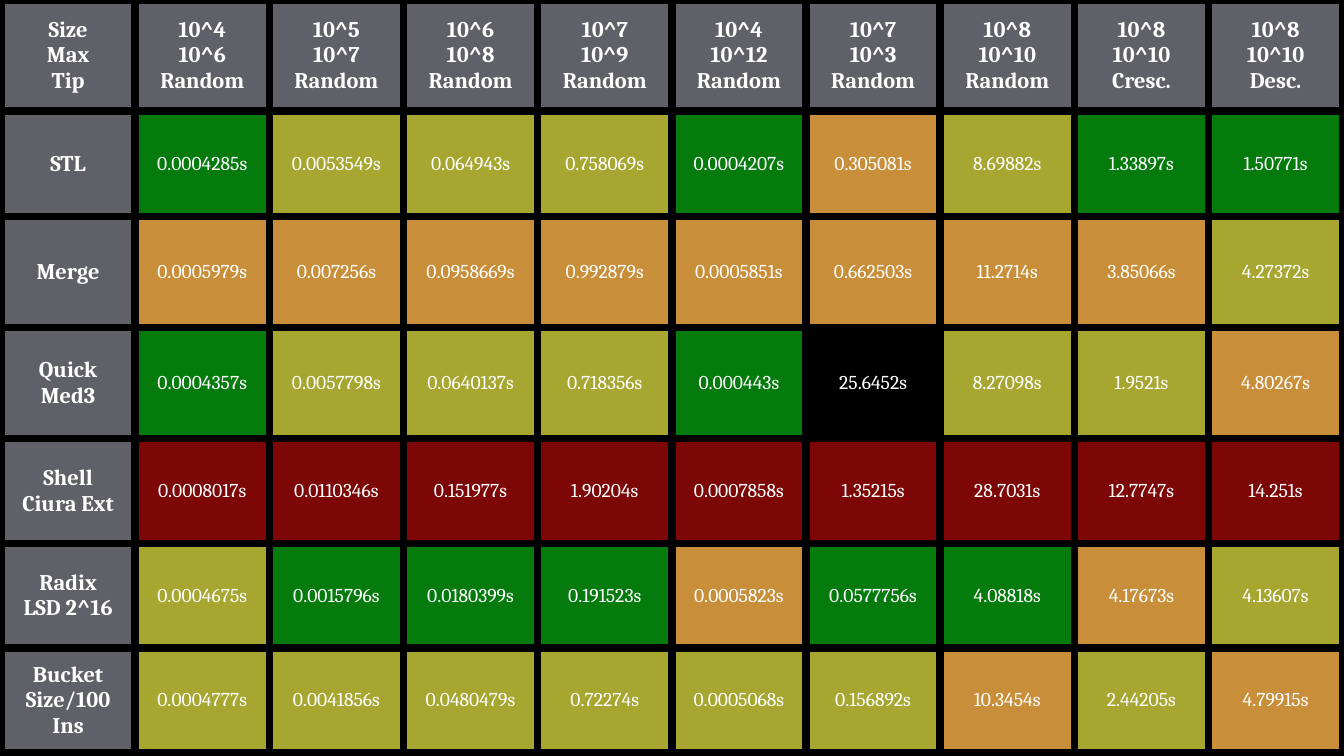
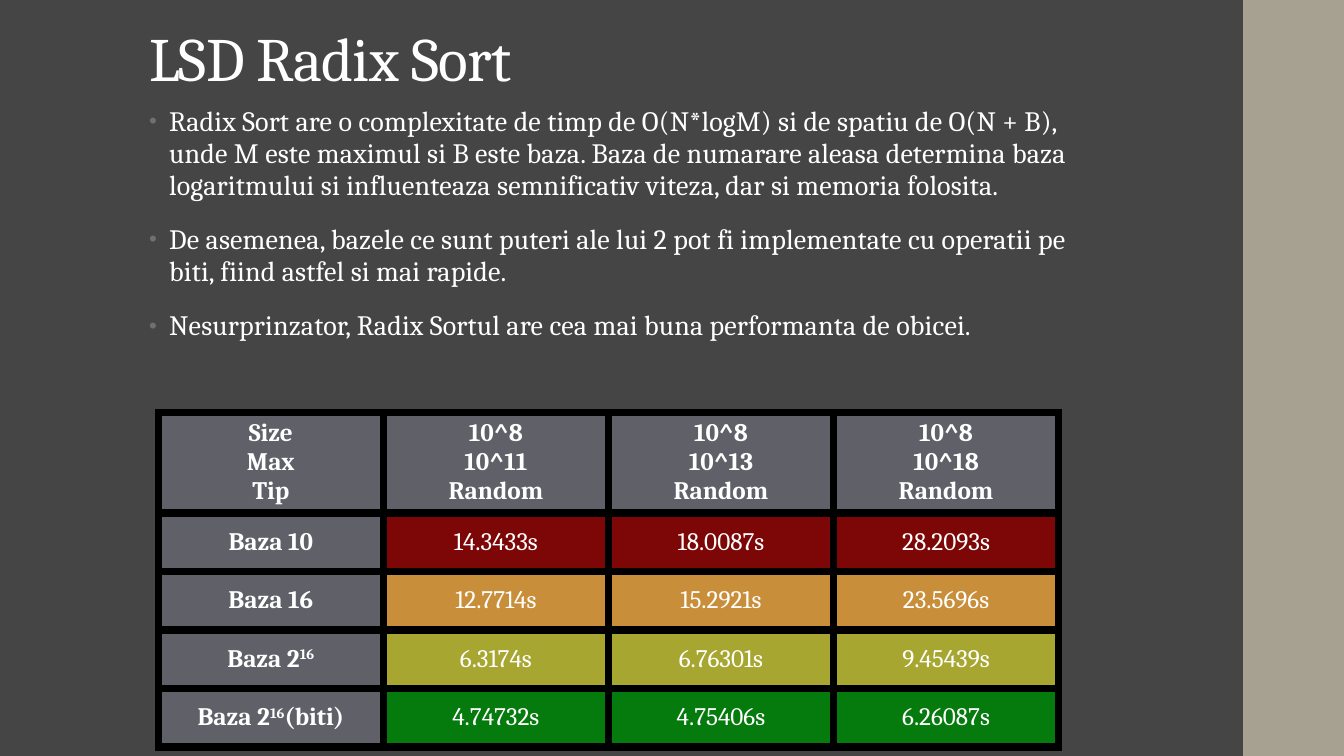
"""Build two slides comparing the running times of sorting algorithms."""
import pptx
import pptx.util
import pptx.dml.color
import pptx.enum.shapes
import pptx.enum.text
import pptx.oxml
import pptx.oxml.ns

Inches, Pt = pptx.util.Inches, pptx.util.Pt
RGBColor = pptx.dml.color.RGBColor
ALIGN, ANCHOR = pptx.enum.text.PP_ALIGN, pptx.enum.text.MSO_ANCHOR

FONT = "Cambria"
WHITE = RGBColor(0xFF, 0xFF, 0xFF)
BACKGROUND = RGBColor(0x45, 0x45, 0x45)
BAND = RGBColor(0xA7, 0xA1, 0x92)
HEADING = RGBColor(0x60, 0x60, 0x68)
BLACK = RGBColor(0, 0, 0)
BULLET = RGBColor(0x6F, 0x6F, 0x74)
RATINGS = {
    "G": RGBColor(0x05, 0x7A, 0x0D),
    "Y": RGBColor(0xA6, 0xA6, 0x30),
    "O": RGBColor(0xC9, 0x8E, 0x3A),
    "R": RGBColor(0x7D, 0x07, 0x07),
    "K": BLACK,
}

ALL_TESTS = [
    "Size\nMax\nTip", "10^4\n10^6\nRandom", "10^5\n10^7\nRandom",
    "10^6\n10^8\nRandom", "10^7\n10^9\nRandom", "10^4\n10^12\nRandom",
    "10^7\n10^3\nRandom", "10^8\n10^10\nRandom", "10^8\n10^10\nCresc.",
    "10^8\n10^10\nDesc.",
]
ALL_TIMES = [
    ("STL", "GYYYGOYGG",
     "0.0004285 0.0053549 0.064943 0.758069 0.0004207 0.305081 8.69882 1.33897 1.50771"),
    ("Merge", "OOOOOOOOY",
     "0.0005979 0.007256 0.0958669 0.992879 0.0005851 0.662503 11.2714 3.85066 4.27372"),
    ("Quick\nMed3", "GYYYGKYYO",
     "0.0004357 0.0057798 0.0640137 0.718356 0.000443 25.6452 8.27098 1.9521 4.80267"),
    ("Shell\nCiura Ext", "RRRRRRRRR",
     "0.0008017 0.0110346 0.151977 1.90204 0.0007858 1.35215 28.7031 12.7747 14.251"),
    ("Radix\nLSD 2^16", "YGGGOGGOY",
     "0.0004675 0.0015796 0.0180399 0.191523 0.0005823 0.0577756 4.08818 4.17673 4.13607"),
    ("Bucket\nSize/100\nIns", "YYYYYYOYO",
     "0.0004777 0.0041856 0.0480479 0.72274 0.0005068 0.156892 10.3454 2.44205 4.79915"),
]
ALL_HEIGHTS = [1.1, 1.05, 1.1, 1.1, 1.04, 1.04, 1.04]

RADIX_TITLE = "LSD Radix Sort"
RADIX_POINTS = "\n".join([
    "Radix Sort are o complexitate\u00a0de\u00a0timp de O(N*logM) si\u00a0de spatiu de "
    "O(N + B), unde M este maximul si B este baza. Baza de numarare aleasa determina baza "
    "logaritmului si influenteaza semnificativ viteza, dar si memoria folosita.",
    "De asemenea, bazele\u00a0ce sunt puteri ale lui 2 pot fi implementate cu operatii pe "
    "biti, fiind astfel si mai rapide.",
    "Nesurprinzator, Radix Sortul are cea mai buna performanta\u00a0de obicei.",
])
RADIX_TESTS = ["Size\nMax\nTip", "10^8\n10^11\nRandom", "10^8\n10^13\nRandom",
               "10^8\n10^18\nRandom"]
RADIX_TIMES = [
    ("Baza 10", "RRR", "14.3433 18.0087 28.2093"),
    ("Baza 16", "OOO", "12.7714 15.2921 23.5696"),
    ("Baza 2|16", "YYY", "6.3174 6.76301 9.45439"),
    ("Baza 2|16|(biti)", "GGG", "4.74732 4.75406 6.26087"),
]
RADIX_HEIGHTS = [0.97] + [0.58] * 4


def add_xml(parent, tag, index=None, inner="", **attributes):
    """Insert a drawing element into parent, at the end by default."""
    listed = " ".join(f'{key}="{value}"' for key, value in attributes.items())
    element = pptx.oxml.parse_xml(
        f'<a:{tag} {pptx.oxml.ns.nsdecls("a")} {listed}>{inner}</a:{tag}>')
    parent.insert(len(parent) if index is None else index, element)


def write(frame, text, size, bold=False, align=ALIGN.LEFT, leading=None,
          tracking=0, bullets=False):
    """Fill a frame, one paragraph a line, raising every second part between bars."""
    frame.word_wrap = True
    for number, line in enumerate(text.split("\n")):
        paragraph = frame.add_paragraph() if number else frame.paragraphs[0]
        paragraph.alignment = align
        if leading:
            paragraph.line_spacing = leading
        if bullets:
            paragraph.space_before, paragraph.space_after = Pt(14), Pt(2)
            properties = paragraph._p.get_or_add_pPr()
            properties.set("marL", str(Inches(0.2)))
            properties.set("indent", str(-Inches(0.2)))
            add_xml(properties, "buClr", inner=f'<a:srgbClr val="{BULLET}"/>')
            add_xml(properties, "buSzPct", val=80000)
            add_xml(properties, "buFont", typeface="Arial")
            add_xml(properties, "buChar", char="\u2022")
        for part, words in enumerate(line.split("|")):
            run = paragraph.add_run()
            run.text = words
            run.font.name, run.font.size, run.font.bold = FONT, Pt(size), bold
            run.font.color.rgb = WHITE
            if part % 2:
                run.font._element.set("baseline", "30000")
            if tracking:
                run.font._element.set("spc", str(round(tracking * 100)))


def add_text(slide, text, left, top, width, height, anchor=ANCHOR.TOP, **style):
    """Place a text box."""
    frame = slide.shapes.add_textbox(
        Inches(left), Inches(top), Inches(width), Inches(height)).text_frame
    frame.vertical_anchor = anchor
    write(frame, text, **style)


def fill_cell(cell, text, color, **style):
    """Write a centred, black-bordered cell."""
    cell.vertical_anchor = ANCHOR.MIDDLE
    cell.fill.solid()
    cell.fill.fore_color.rgb = color
    write(cell.text_frame, text, align=ALIGN.CENTER, **style)
    for index, side in enumerate("LRTB"):
        add_xml(cell._tc.get_or_add_tcPr(), f"ln{side}", index, w=Pt(6),
                inner=f'<a:solidFill><a:srgbClr val="{BLACK}"/></a:solidFill>')


def add_times(slide, tests, times, heights, left, top, width, heading_size, time_size):
    """Place a table of running times coloured by rating."""
    table = slide.shapes.add_table(
        len(heights), len(tests), Inches(left), Inches(top),
        Inches(width), Inches(sum(heights))).table
    table.first_row = table.horz_banding = False
    for column in table.columns:
        column.width = Inches(width / len(tests))
    for row, height in zip(table.rows, heights):
        row.height = Inches(height)
    for column, test in enumerate(tests):
        fill_cell(table.cell(0, column), test, HEADING, size=heading_size, bold=True)
    for row, (algorithm, ratings, seconds) in enumerate(times, 1):
        fill_cell(table.cell(row, 0), algorithm, HEADING, size=heading_size, bold=True)
        for column, (rating, time) in enumerate(zip(ratings, seconds.split()), 1):
            fill_cell(table.cell(row, column), f"{time}s", RATINGS[rating], size=time_size)


def new_slide(deck):
    """Add a dark slide with the band on its right edge."""
    slide = deck.slides.add_slide(deck.slide_layouts[6])
    slide.background.fill.solid()
    slide.background.fill.fore_color.rgb = BACKGROUND
    band = slide.shapes.add_shape(pptx.enum.shapes.MSO_SHAPE.RECTANGLE,
                                  Inches(12.33), 0, Inches(1), deck.slide_height)
    band.shadow.inherit = False
    band.fill.solid()
    band.fill.fore_color.rgb = BAND
    band.line.fill.background()
    return slide


deck = pptx.Presentation()
deck.slide_width, deck.slide_height = Inches(13.33), Inches(7.5)

comparison = new_slide(deck)
add_times(comparison, ALL_TESTS, ALL_TIMES, ALL_HEIGHTS, 0.01, 0, 13.31, 16, 14)

radix = new_slide(deck)
add_text(radix, RADIX_TITLE, 1.38, 0, 10.6, 0.99, anchor=ANCHOR.BOTTOM,
         size=44, leading=0.9, tracking=-0.5)
add_text(radix, RADIX_POINTS, 1.38, 1, 9.4, 4.76,
         size=20, leading=0.95, tracking=0.1, bullets=True)
add_times(radix, RADIX_TESTS, RADIX_TIMES, RADIX_HEIGHTS, 1.57, 4.09, 8.93, 18, 18)

deck.save("out.pptx")
